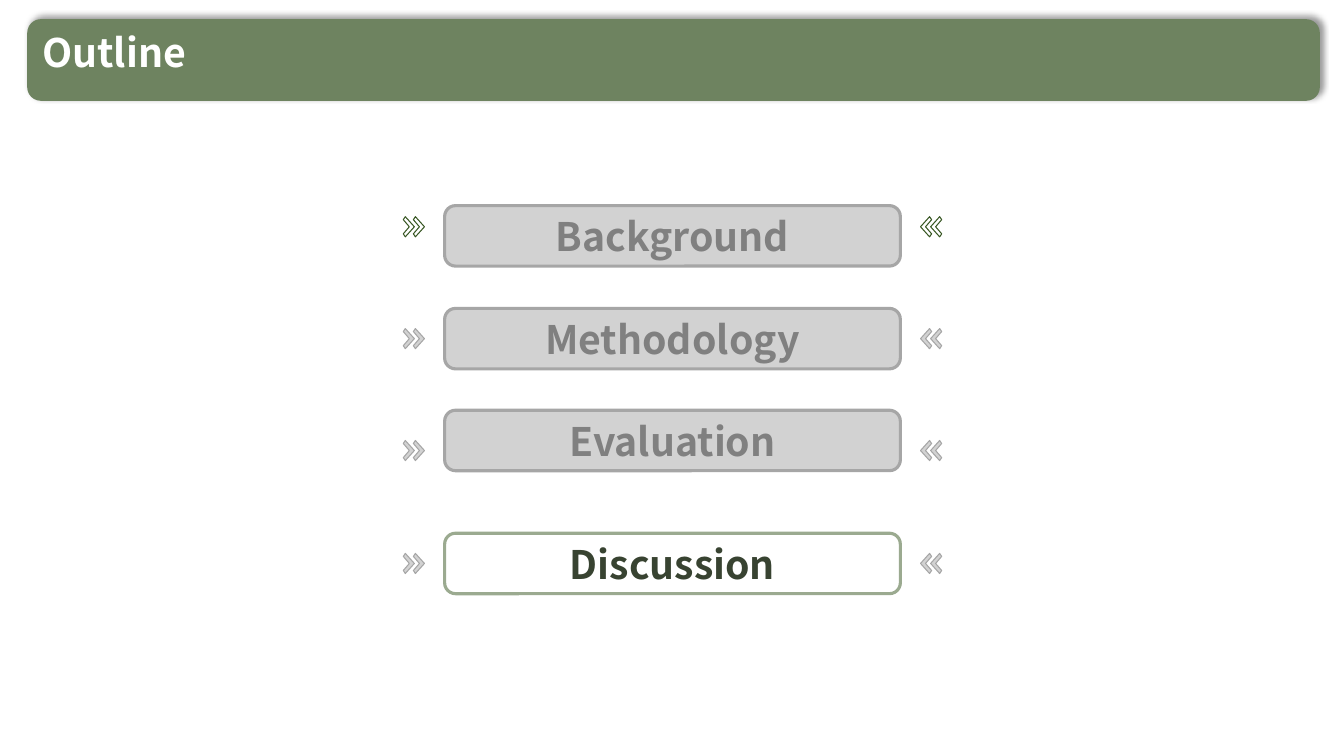
"""Build an outline slide that highlights the discussion section."""
from lxml.etree import SubElement
from pptx import Presentation
from pptx.dml.color import RGBColor
from pptx.enum.shapes import MSO_SHAPE
from pptx.enum.text import MSO_ANCHOR, PP_ALIGN
from pptx.oxml.ns import qn
from pptx.util import Inches, Pt

FONT = "Noto Sans CJK SC"
GREY, GREY_TEXT = "A6A6A6", "808080"
TITLE = "Outline"
# label, box top, box fill, box line, text colour
SECTIONS = [
    ("Background", 2.04, GREY, GREY, GREY_TEXT),
    ("Methodology", 3.06, GREY, GREY, GREY_TEXT),
    ("Evaluation", 4.07, GREY, GREY, GREY_TEXT),
    ("Discussion", 5.29, None, "9BAA90", "384331"),
]
# chevron top, fill, line
CHEVRON_ROWS = [
    (2.15, None, "385723"),
    (3.26, GREY, GREY),
    (4.37, GREY, GREY),
    (5.49, GREY, GREY),
]
CHEVRON_OUTLINE = [(0.02, 0), (0, 0.03), (0.06, 0.1), (0, 0.17), (0.02, 0.2), (0.11, 0.1)]
CHEVRON_LEFTS = (4, 4.1)
MIRROR_WIDTH = 13.34


def color(hex_string):
    return RGBColor.from_string(hex_string)


def style_shape(shape, fill, line, line_width):
    shape.shadow.inherit = False
    if fill:
        shape.fill.solid()
        shape.fill.fore_color.rgb = color(fill)
        fill_color = shape.element.spPr.find(qn("a:solidFill"))[0]
        SubElement(fill_color, qn("a:alpha"), val="50000")
    else:
        shape.fill.background()
    shape.line.color.rgb = color(line)
    shape.line.width = Pt(line_width)


def write_text(shape, text, hex_string, alignment, anchor):
    frame = shape.text_frame
    frame.text = text
    frame.word_wrap = True
    frame.vertical_anchor = anchor
    paragraph = frame.paragraphs[0]
    paragraph.alignment = alignment
    font = paragraph.runs[0].font
    font.name, font.size, font.bold = FONT, Pt(28), True
    font.color.rgb = color(hex_string)
    return paragraph


def add_banner(slide):
    banner = slide.shapes.add_shape(
        MSO_SHAPE.ROUNDED_RECTANGLE, Inches(0.27), Inches(0.19), Inches(12.82), Inches(0.81))
    banner.fill.solid()
    banner.fill.fore_color.rgb = color("6E8360")
    banner.line.fill.background()
    banner.shadow.inherit = False
    effects = banner.element.spPr.find(qn("a:effectLst"))
    shadow = SubElement(effects, qn("a:outerShdw"), blurRad=str(Pt(4)), dist=str(Pt(3)),
                        dir="18900000", algn="bl", rotWithShape="0")
    shadow_color = SubElement(shadow, qn("a:srgbClr"), val="000000")
    SubElement(shadow_color, qn("a:alpha"), val="40000")

    title = slide.shapes.title
    title.element.addprevious(banner.element)
    title.left, title.top = Inches(0.32), Inches(0.28)
    title.width, title.height = Inches(11.07), Inches(0.62)
    paragraph = write_text(title, TITLE, "FFFFFF", PP_ALIGN.LEFT, MSO_ANCHOR.TOP)
    paragraph.line_spacing = 0.9


def add_chevron(slide, left, top, mirrored, fill, line):
    points = [(Inches(MIRROR_WIDTH - left - x if mirrored else left + x), Inches(top + y))
              for x, y in CHEVRON_OUTLINE]
    builder = slide.shapes.build_freeform(*points[0])
    builder.add_line_segments(points[1:], close=True)
    style_shape(builder.convert_to_shape(), fill, line, 0.75)


def add_section(slide, label, top, fill, line, text_color):
    box = slide.shapes.add_shape(
        MSO_SHAPE.ROUNDED_RECTANGLE, Inches(4.41), Inches(top), Inches(4.52), Inches(0.6))
    box.adjustments[0] = 0.18
    style_shape(box, fill, line, 2.25)
    write_text(box, label, text_color, PP_ALIGN.CENTER, MSO_ANCHOR.MIDDLE)


def main():
    presentation = Presentation()
    presentation.slide_width, presentation.slide_height = Inches(13.33), Inches(7.5)
    slide = presentation.slides.add_slide(presentation.slide_layouts[5])
    add_banner(slide)
    for top, fill, line in CHEVRON_ROWS:
        for mirrored in (False, True):
            for left in CHEVRON_LEFTS:
                add_chevron(slide, left, top, mirrored, fill, line)
    for section in SECTIONS:
        add_section(slide, *section)
    presentation.save("out.pptx")


if __name__ == "__main__":
    main()
